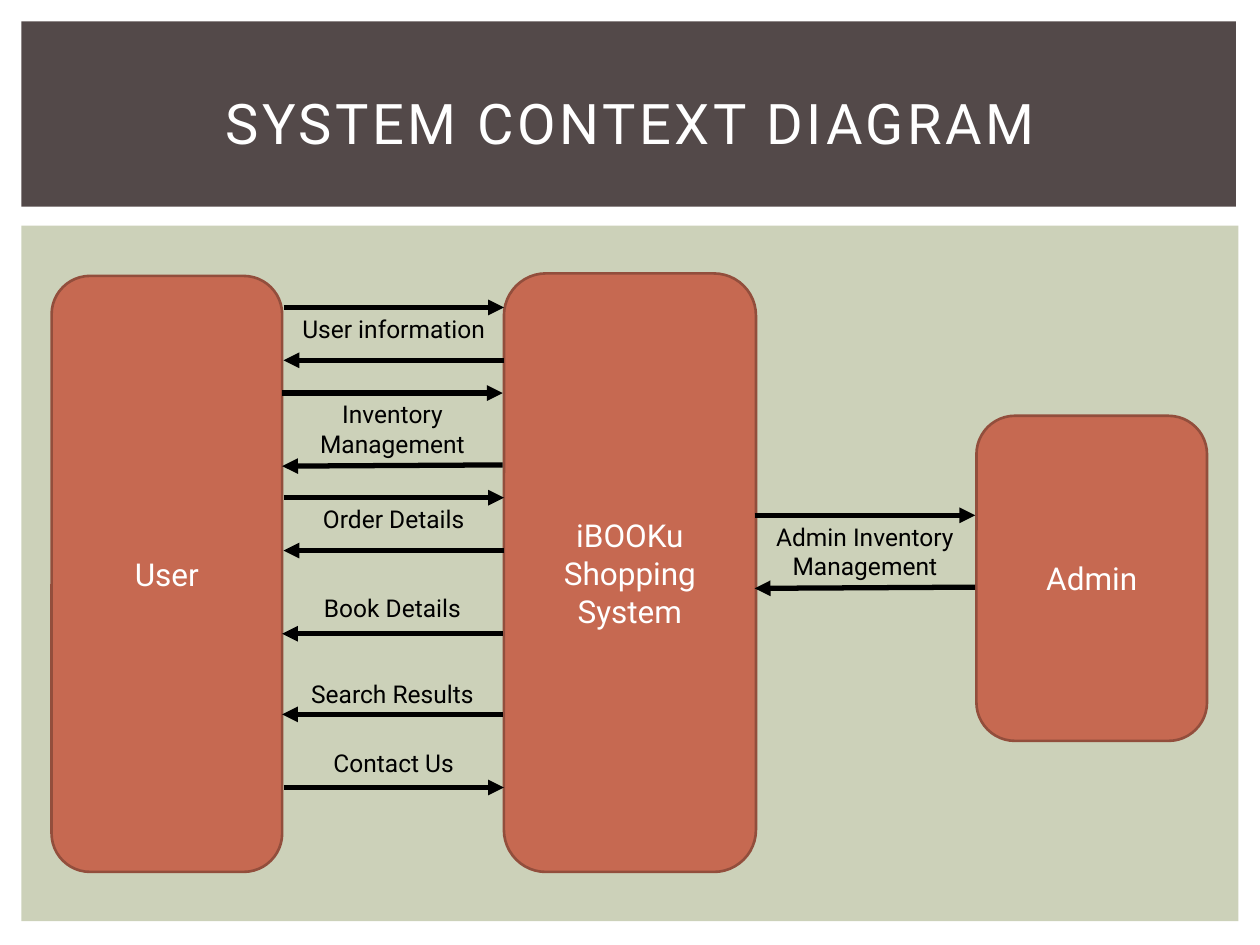
"""Build a system context diagram slide: user, shopping system and admin with their data flows."""
from dataclasses import dataclass
from typing import Optional

from lxml import etree
from pptx import Presentation
from pptx import util as u
from pptx.dml.color import RGBColor
from pptx.enum import shapes, text
from pptx.oxml.ns import qn


@dataclass(frozen=True)
class Theme:
    font: str = "Roboto"
    panel: str = "CCD1B9"
    banner: str = "534949"
    entity: str = "C66951"
    entity_edge: str = "924E3C"
    light: str = "FFFFFF"
    dark: str = "000000"
    title_size: int = 32
    entity_size: int = 18
    flow_size: int = 14
    title_spacing: int = 2
    edge_width: float = 1.5
    arrow_width: float = 3


@dataclass(frozen=True)
class Area:
    left: float
    top: float
    width: float
    height: float

    def lengths(self):
        return [u.Inches(side) for side in (self.left, self.top, self.width, self.height)]


@dataclass(frozen=True)
class Entity:
    lines: tuple[str, ...]
    area: Area


@dataclass(frozen=True)
class Flow:
    label: str
    left: float
    label_top: float
    request: Optional[float] = None
    reply: Optional[float] = None
    rows: int = 1
    slope: float = 0


THEME = Theme()
CHANNEL = 1.75
LABEL_WIDTH = 1.67
LABEL_HEIGHTS = {1: 0.34, 2: 0.57}

PANEL = Area(0.17, 1.79, 9.66, 5.52)
BANNER = Area(0.17, 0.17, 9.64, 1.47)
TITLE = Area(0.42, 0.39, 9.17, 1.15)

ENTITIES = (
    Entity(("iBOOKu", "Shopping", "System"), Area(4, 2.17, 2, 4.75)),
    Entity(("User",), Area(0.41, 2.19, 1.83, 4.73)),
    Entity(("Admin",), Area(7.75, 3.3, 1.83, 2.58)),
)

FLOWS = (
    Flow("User information", 2.25, 2.44, request=2.44, reply=2.86),
    Flow("Inventory Management", 2.24, 3.12, request=3.12, reply=3.69, rows=2, slope=0.01),
    Flow("Order Details", 2.25, 3.95, request=3.95, reply=4.37),
    Flow("Book Details", 2.24, 4.66, reply=5.03),
    Flow("Search Results", 2.24, 5.34, reply=5.67),
    Flow("Contact Us", 2.25, 5.89, request=6.25),
    Flow("Admin Inventory Management", 5.99, 4.09, request=4.09, reply=4.66, rows=2, slope=0.01),
)


def rgb(value: str) -> RGBColor:
    return RGBColor.from_string(value)


def write(frame, lines: tuple[str, ...], size: float, color: str,
          anchor=text.MSO_ANCHOR.MIDDLE, spacing: float = 0) -> None:
    frame.word_wrap = True
    frame.vertical_anchor = anchor
    for index, line in enumerate(lines):
        paragraph = frame.add_paragraph() if index else frame.paragraphs[0]
        paragraph.alignment = text.PP_ALIGN.CENTER
        run = paragraph.add_run()
        run.text = line
        run.font.name = THEME.font
        run.font.size = u.Pt(size)
        run.font.color.rgb = rgb(color)
        if spacing:
            run._r.get_or_add_rPr().set("spc", str(spacing * 100))


def draw_block(slide, area: Area, fill: str, preset=shapes.MSO_SHAPE.RECTANGLE,
               edge: Optional[str] = None):
    block = slide.shapes.add_shape(preset, *area.lengths())
    block.shadow.inherit = False
    block.fill.solid()
    block.fill.fore_color.rgb = rgb(fill)
    if edge:
        block.line.color.rgb = rgb(edge)
        block.line.width = u.Pt(THEME.edge_width)
    else:
        block.line.fill.background()
    return block


def draw_entity(slide, entity: Entity) -> None:
    block = draw_block(slide, entity.area, THEME.entity,
                       shapes.MSO_SHAPE.ROUNDED_RECTANGLE, THEME.entity_edge)
    write(block.text_frame, entity.lines, THEME.entity_size, THEME.light)


def draw_arrow(slide, start: tuple[float, float], end: tuple[float, float]) -> None:
    arrow = slide.shapes.add_connector(
        shapes.MSO_CONNECTOR.STRAIGHT, *(u.Inches(value) for value in start + end))
    arrow.line.color.rgb = rgb(THEME.dark)
    arrow.line.width = u.Pt(THEME.arrow_width)
    properties = arrow._element.spPr
    etree.SubElement(properties.find(qn("a:ln")), qn("a:tailEnd"), type="triangle")
    etree.SubElement(properties, qn("a:effectLst"))


def draw_flow(slide, flow: Flow) -> None:
    area = Area(flow.left + 0.04, flow.label_top, LABEL_WIDTH, LABEL_HEIGHTS[flow.rows])
    label = slide.shapes.add_textbox(*area.lengths())
    write(label.text_frame, (flow.label,), THEME.flow_size, THEME.dark, text.MSO_ANCHOR.TOP)
    right = flow.left + CHANNEL
    if flow.request is not None:
        draw_arrow(slide, (flow.left, flow.request), (right, flow.request))
    if flow.reply is not None:
        draw_arrow(slide, (right, flow.reply), (flow.left, flow.reply + flow.slope))


def main() -> None:
    deck = Presentation()
    deck.slide_width, deck.slide_height = u.Inches(10), u.Inches(7.5)
    slide = deck.slides.add_slide(deck.slide_layouts[6])
    draw_block(slide, PANEL, THEME.panel)
    draw_block(slide, BANNER, THEME.banner)
    title = slide.shapes.add_textbox(*TITLE.lengths())
    write(title.text_frame, ("SYSTEM CONTEXT DIAGRAM",), THEME.title_size, THEME.light,
          spacing=THEME.title_spacing)
    for entity in ENTITIES:
        draw_entity(slide, entity)
    for flow in FLOWS:
        draw_flow(slide, flow)
    deck.save("out.pptx")


if __name__ == "__main__":
    main()
